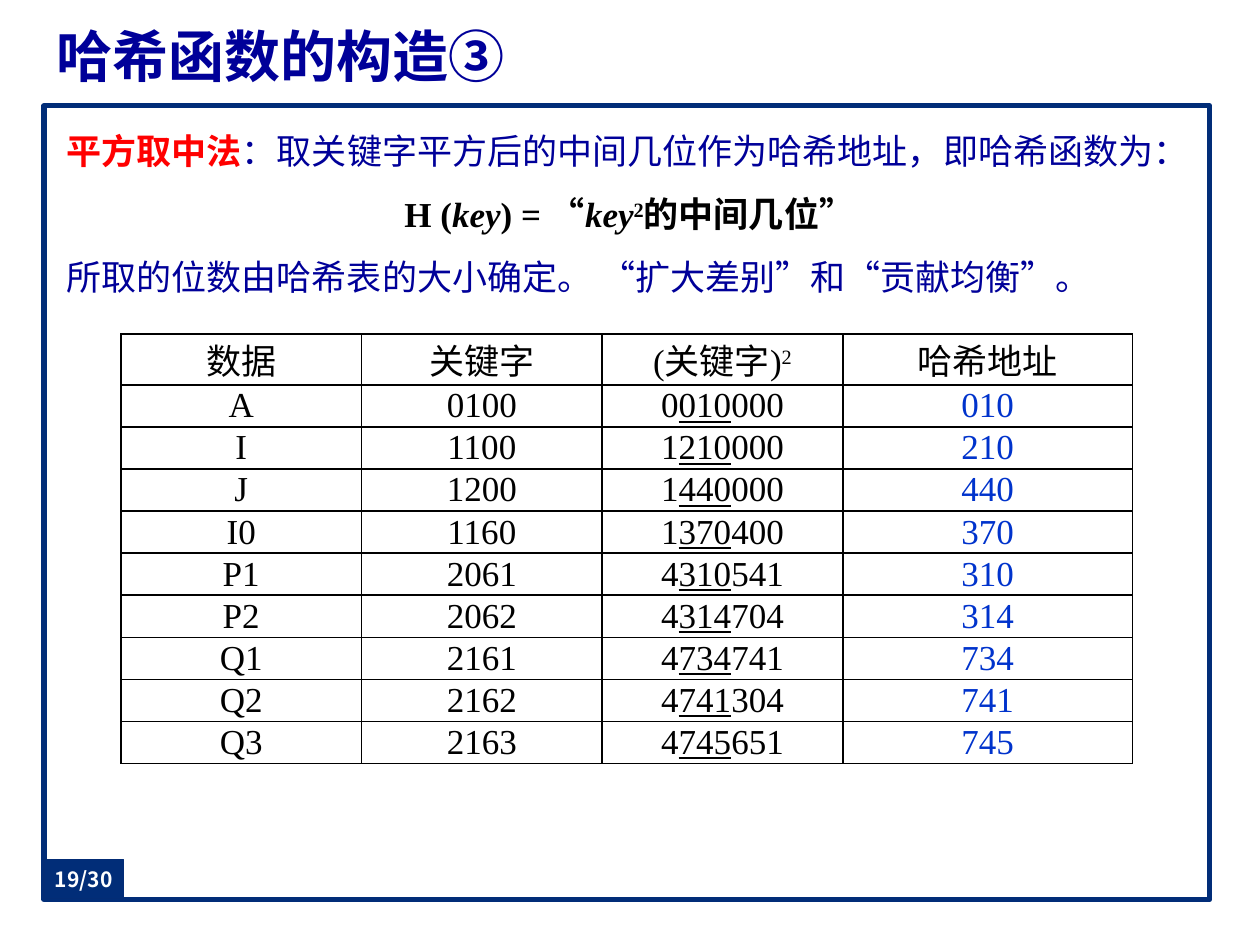
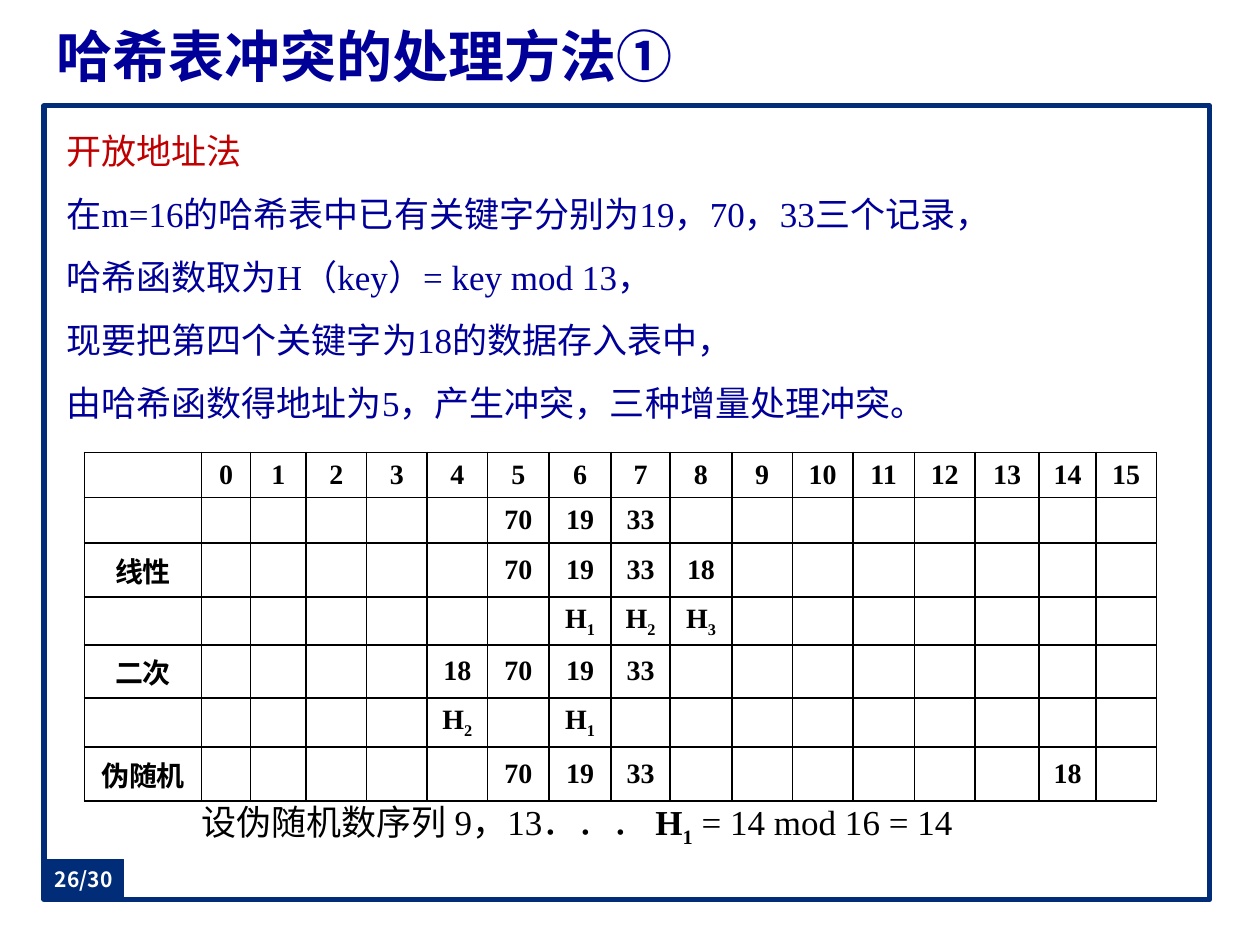
import pptx
import pptx.dml.color
import pptx.enum.shapes
import pptx.enum.text
import pptx.oxml
import pptx.oxml.ns
import pptx.util

COLORS = {
    "navy": "012D78", "badge_edge": "032C75", "text": "000099", "black": "000000",
    "white": "FFFFFF", "red": "FF0000", "dark_red": "C00000", "address": "0033CC",
}
SERIF, SANS = "Times New Roman", "Noto Sans CJK SC"
ALIGN = pptx.enum.text.PP_ALIGN
ANCHOR = pptx.enum.text.MSO_ANCHOR
COLUMNS, ROWS = 100, 75
PAGE_COUNT = 30


class Deck:
    """Draws on the current slide; lengths are columns and rows of a 100 x 75 grid."""

    def __init__(self):
        self.prs = pptx.Presentation()
        self.prs.slide_width = pptx.util.Inches(10)
        self.prs.slide_height = pptx.util.Inches(7.5)
        self.slide = None

    def x(self, columns):
        return round(self.prs.slide_width * columns / COLUMNS)

    def y(self, rows):
        return round(self.prs.slide_height * rows / ROWS)

    def place(self, left, top, width, height):
        return self.x(left), self.y(top), self.x(width), self.y(height)

    def color(self, name):
        return pptx.dml.color.RGBColor.from_string(COLORS[name])

    def new_slide(self, title, page):
        self.slide = self.prs.slides.add_slide(self.prs.slide_layouts[6])
        self.rectangle((3.5, 8.4, 92.5, 63), "white", "navy", 3)
        self.text((3.5, 1.3, 92.5, 6.2), [[(title, {"bold": True})]],
                  size=32, anchor=ANCHOR.MIDDLE)
        badge = self.rectangle((3.5, 68.2, 6.3, 3.1), "navy", "badge_edge", 0.75)
        frame = badge.text_frame
        self.margins(frame, 0, 0)
        frame.vertical_anchor = ANCHOR.MIDDLE
        self.fill_paragraph(frame.paragraphs[0], [(f"{page}/{PAGE_COUNT}", {"bold": True})],
                            12, "white", ALIGN.CENTER, font=SANS)

    def rectangle(self, box, fill, line, line_width):
        shape = self.slide.shapes.add_shape(
            pptx.enum.shapes.MSO_SHAPE.RECTANGLE, *self.place(*box))
        shape.shadow.inherit = False
        shape.fill.solid()
        shape.fill.fore_color.rgb = self.color(fill)
        shape.line.color.rgb = self.color(line)
        shape.line.width = pptx.util.Pt(line_width)
        return shape

    def margins(self, holder, side, end):
        holder.margin_left = holder.margin_right = self.x(side)
        holder.margin_top = holder.margin_bottom = self.y(end)

    def fill_paragraph(self, paragraph, runs, size, color, align=ALIGN.LEFT, font=SERIF):
        """Add runs given as (text, style); style may hold bold, italic, underline, color, base."""
        paragraph.alignment = align
        for words, style in runs:
            run = paragraph.add_run()
            run.text = words
            run.font.name = font
            run.font.size = pptx.util.Pt(size)
            run.font.bold = style.get("bold", False)
            run.font.italic = style.get("italic", False)
            run.font.underline = style.get("underline", False)
            run.font.color.rgb = self.color(style.get("color", color))
            properties = run.font._element
            east_asian = pptx.oxml.parse_xml(
                f'<a:ea {pptx.oxml.ns.nsdecls("a")} typeface="{SANS}"/>')
            properties.find(pptx.oxml.ns.qn("a:latin")).addnext(east_asian)
            if "base" in style:
                properties.set("baseline", str(style["base"] * 1000))

    def text(self, box, paragraphs, size=20, color="text", anchor=ANCHOR.TOP,
             end_margin=0.5, leading=None, gap=0, centered=()):
        frame = self.slide.shapes.add_textbox(*self.place(*box)).text_frame
        frame.word_wrap = True
        frame.vertical_anchor = anchor
        self.margins(frame, 1, end_margin)
        for index, runs in enumerate(paragraphs):
            paragraph = frame.add_paragraph() if index else frame.paragraphs[0]
            if leading:
                paragraph.line_spacing = pptx.util.Pt(leading)
            paragraph.space_after = pptx.util.Pt(gap)
            align = ALIGN.CENTER if index in centered else ALIGN.LEFT
            self.fill_paragraph(paragraph, runs, size, color, align)

    def body(self, paragraphs, centered=()):
        self.text((4.3, 9.3, 90.6, 61.3), paragraphs, end_margin=1,
                  leading=24, gap=12, centered=centered)

    def cell_borders(self, cell):
        properties = cell._tc.get_or_add_tcPr()
        for position, edge in enumerate(("lnL", "lnR", "lnT", "lnB")):
            properties.insert(position, pptx.oxml.parse_xml(
                f'<a:{edge} {pptx.oxml.ns.nsdecls("a")} w="12700"><a:solidFill>'
                f'<a:srgbClr val="{COLORS["black"]}"/></a:solidFill></a:{edge}>'))

    def table(self, left, top, widths, heights, rows, size, side_margin):
        """Draw a ruled table; each cell is a list of runs."""
        box = self.place(left, top, sum(widths), sum(heights))
        grid = self.slide.shapes.add_table(len(heights), len(widths), *box).table
        grid.first_row = grid.horz_banding = False
        for column, width in zip(grid.columns, widths):
            column.width = self.x(width)
        for row, height, contents in zip(grid.rows, heights, rows):
            row.height = self.y(height)
            for cell, runs in zip(row.cells, contents):
                cell.fill.background()
                self.cell_borders(cell)
                self.margins(cell, side_margin, 0)
                cell.vertical_anchor = ANCHOR.MIDDLE
                self.fill_paragraph(cell.text_frame.paragraphs[0], runs,
                                    size, "black", ALIGN.CENTER)


def mid_square_slide(deck):
    deck.new_slide("哈希函数的构造③", 19)
    bold = {"bold": True, "color": "black"}
    variable = {**bold, "italic": True}
    deck.body([
        [("平方取中法", {"bold": True, "color": "red"}),
         ("：取关键字平方后的中间几位作为哈希地址，即哈希函数为：", {})],
        [(" H (", bold), ("key", variable), (") = “", bold), ("key", variable),
         ("2", {**bold, "base": 30}), ("的中间几位”", bold)],
        [("所取的位数由哈希表的大小确定。 “扩大差别”和“贡献均衡”。", {})],
    ], centered=(1,))

    records = [
        ("A", "0100", "0010000"), ("I", "1100", "1210000"), ("J", "1200", "1440000"),
        ("I0", "1160", "1370400"), ("P1", "2061", "4310541"), ("P2", "2062", "4314704"),
        ("Q1", "2161", "4734741"), ("Q2", "2162", "4741304"), ("Q3", "2163", "4745651"),
    ]
    rows = [[[("数据", {})], [("关键字", {})],
             [("(关键字)", {}), ("2", {"base": 30})], [("哈希地址", {})]]]
    for name, key, square in records:
        address = square[1:4]
        rows.append([
            [(name, {})], [(key, {})],
            [(square[0], {}), (address, {"underline": True}), (square[4:], {})],
            [(address, {"color": "address"})],
        ])
    deck.table(9.6, 26.5, [19.1] * 3 + [23], [4.05] + [3.09] * len(records),
               rows, size=20, side_margin=1)


def probe_row(label, slots):
    """Spread {address: text} over the 16 table addresses; H1 gets a subscript."""
    bold = {"bold": True}
    cells = [[(label, bold)] if label else []]
    for address in range(16):
        entry = str(slots.get(address, ""))
        if entry.startswith("H"):
            cells.append([("H", bold), (entry[1:], {"bold": True, "base": -25})])
        else:
            cells.append([(entry, bold)] if entry else [])
    return cells


def open_addressing_slide(deck):
    deck.new_slide("哈希表冲突的处理方法①", 26)
    deck.body([
        [("开放地址法", {"color": "dark_red"})],
        [("在m=16的哈希表中已有关键字分别为19，70，33三个记录，", {})],
        [("哈希函数取为H（key）= key mod 13，", {})],
        [("现要把第四个关键字为18的数据存入表中，", {})],
        [("由哈希函数得地址为5，产生冲突，三种增量处理冲突。", {})],
    ])

    stored = {5: 70, 6: 19, 7: 33}
    rows = [
        probe_row("", {address: address for address in range(16)}),
        probe_row("", stored),
        probe_row("线性", {**stored, 8: 18}),
        probe_row("", {6: "H1", 7: "H2", 8: "H3"}),
        probe_row("二次", {**stored, 4: 18}),
        probe_row("", {4: "H2", 6: "H1"}),
        probe_row("伪随机", {**stored, 14: 18}),
    ]
    widths = [9.3, 3.9, 4.4, 4.8, 4.8, 4.8, 4.9, 4.9, 4.7,
              4.9, 4.8, 4.8, 4.9, 4.8, 5.1, 4.5, 4.8]
    heights = [3.6, 3.6, 4.3, 3.8, 4.2, 3.9, 4.3]
    deck.table(6.7, 35.9, widths, heights, rows, size=16, side_margin=0.2)
    deck.text((15, 63.5, 72, 4.4), [[
        ("设伪随机数序列 9，13．．． ", {}), ("H", {"bold": True}),
        ("1", {"bold": True, "base": -25}), (" = 14 mod 16 = 14", {}),
    ]], color="black", leading=24)


def main():
    deck = Deck()
    mid_square_slide(deck)
    open_addressing_slide(deck)
    deck.prs.save("out.pptx")


if __name__ == "__main__":
    main()
